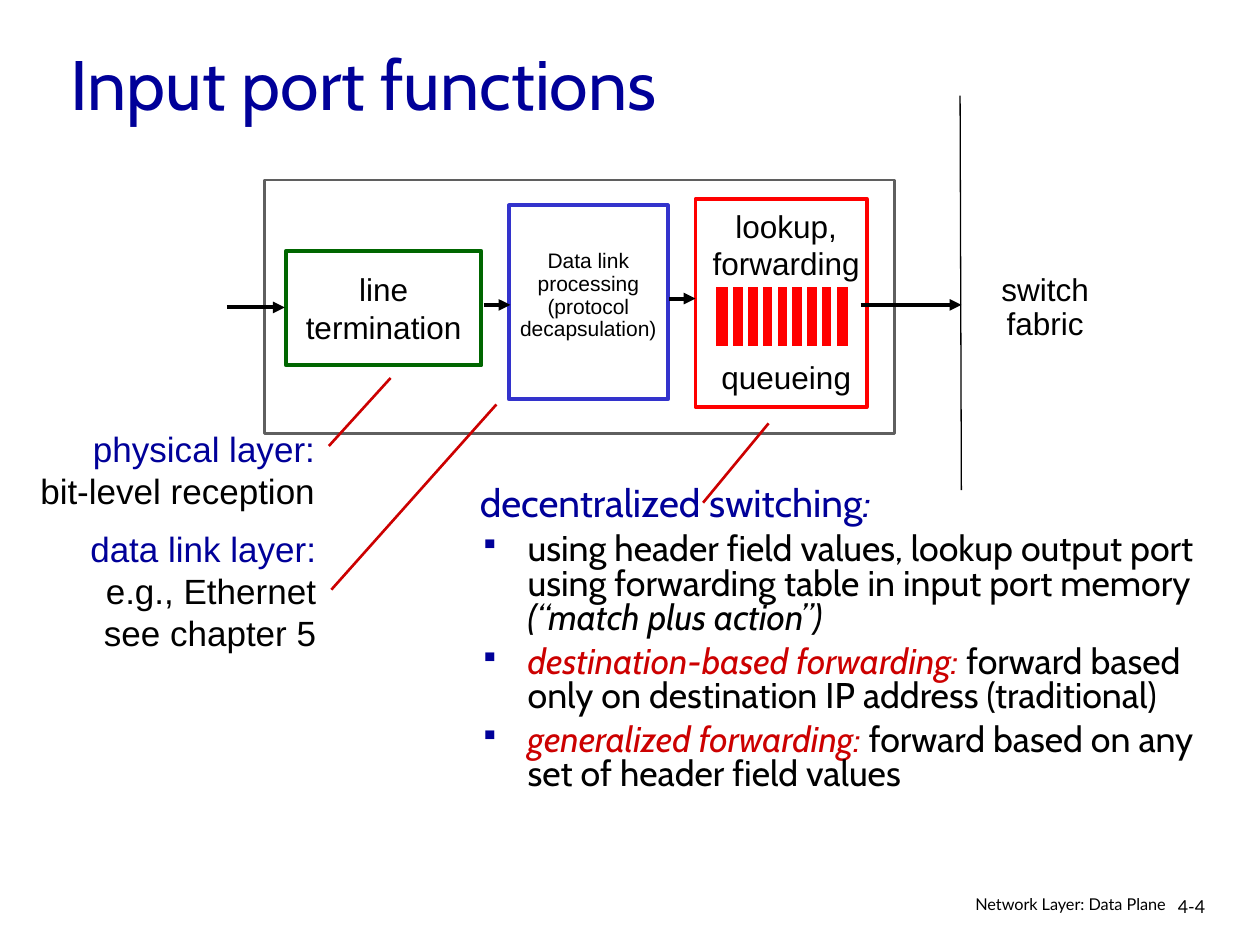
"""Build the slide on input port functions of a router."""
from dataclasses import dataclass
from typing import Optional

from lxml.etree import SubElement
from pptx import Presentation
from pptx.dml.color import RGBColor
from pptx.enum.shapes import MSO_CONNECTOR, MSO_SHAPE
from pptx.enum.text import MSO_ANCHOR, MSO_AUTO_SIZE, PP_ALIGN
from pptx.oxml.ns import qn
from pptx.util import Inches, Pt


@dataclass(frozen=True)
class Theme:
    black: str = "000000"
    white: str = "FFFFFF"
    gray: str = "5F5F5F"
    green: str = "006600"
    blue: str = "3333CC"
    navy: str = "000099"
    red: str = "FF0000"
    crimson: str = "CC0000"
    diagram_font: str = "Arial"
    text_font: str = "Cabin"
    footer_font: str = "Lato"
    title_size: float = 40
    heading_size: float = 22.2
    bullet_size: float = 20.4
    label_size: float = 20
    stage_size: float = 18
    small_size: float = 12
    number_size: float = 10.2
    footer_size: float = 9.3


THEME = Theme()


@dataclass(frozen=True)
class Frame:
    left: float
    top: float
    width: float
    height: float

    def lengths(self) -> tuple:
        return tuple(Inches(v) for v in (self.left, self.top, self.width, self.height))


@dataclass(frozen=True)
class Box:
    frame: Frame
    line: str
    weight: float = 2.25
    fill: str = THEME.white


@dataclass(frozen=True)
class Line:
    start: tuple
    end: tuple
    color: str = THEME.black
    weight: float = 2.25
    arrow: bool = False


@dataclass(frozen=True)
class Label:
    frame: Frame
    lines: tuple
    size: float = THEME.stage_size
    align: PP_ALIGN = PP_ALIGN.CENTER
    spacing: float = 1.0
    font: str = THEME.diagram_font
    anchor: MSO_ANCHOR = MSO_ANCHOR.TOP
    first_color: str = THEME.black
    last_gap: Optional[float] = None


@dataclass(frozen=True)
class Phrase:
    text: str
    color: str = THEME.black
    italic: bool = False


def style_run(run, font: str, size: float, color: str, italic: bool = False) -> None:
    """Apply font, size, colour and slant to a run."""
    run.font.name = font
    run.font.size = Pt(size)
    run.font.italic = italic
    run.font.color.rgb = RGBColor.from_string(color)


def draw_box(shapes, box: Box) -> None:
    """Draw a filled and outlined rectangle."""
    rectangle = shapes.add_shape(MSO_SHAPE.RECTANGLE, *box.frame.lengths())
    rectangle.shadow.inherit = False
    rectangle.fill.solid()
    rectangle.fill.fore_color.rgb = RGBColor.from_string(box.fill)
    rectangle.line.color.rgb = RGBColor.from_string(box.line)
    rectangle.line.width = Pt(box.weight)


def draw_line(shapes, line: Line) -> None:
    """Draw a straight line, with an arrowhead at its end if asked."""
    points = (Inches(v) for v in line.start + line.end)
    connector = shapes.add_connector(MSO_CONNECTOR.STRAIGHT, *points)
    connector.line.color.rgb = RGBColor.from_string(line.color)
    connector.line.width = Pt(line.weight)
    if line.arrow:
        SubElement(connector.line._get_or_add_ln(), qn("a:tailEnd"), type="triangle")
    SubElement(connector._element.spPr, qn("a:effectLst"))


def draw_label(shapes, label: Label) -> None:
    """Draw a text box with one paragraph per line."""
    frame = shapes.add_textbox(*label.frame.lengths()).text_frame
    frame.word_wrap = False
    frame.vertical_anchor = label.anchor
    frame.text = "\n".join(label.lines)
    for index, paragraph in enumerate(frame.paragraphs):
        paragraph.alignment = label.align
        paragraph.line_spacing = label.spacing
        color = THEME.black if index else label.first_color
        style_run(paragraph.runs[0], label.font, label.size, color)
    if label.last_gap:
        frame.paragraphs[-1].space_before = Pt(label.last_gap)


def add_square_bullet(paragraph) -> None:
    """Give a paragraph a small navy square bullet."""
    properties = paragraph._p.get_or_add_pPr()
    color = SubElement(properties, qn("a:buClr"))
    SubElement(color, qn("a:srgbClr"), val=THEME.navy)
    SubElement(properties, qn("a:buSzPct"), val="75000")
    SubElement(properties, qn("a:buChar"), char="▪")


def draw_explanation(shapes, frame: Frame, points: tuple) -> None:
    """Draw a heading followed by bulleted points."""
    text_frame = shapes.add_textbox(*frame.lengths()).text_frame
    text_frame.word_wrap = True
    for index, phrases in enumerate(points):
        paragraph = text_frame.add_paragraph() if index else text_frame.paragraphs[0]
        paragraph.line_spacing = 0.8
        properties = paragraph._p.get_or_add_pPr()
        properties.set("marL", str(Inches(0.38)))
        properties.set("indent", str(Inches(-0.38)))
        if index:
            paragraph.space_before = Pt(5.5)
            add_square_bullet(paragraph)
        size = THEME.bullet_size if index else THEME.heading_size
        for phrase in phrases:
            run = paragraph.add_run()
            run.text = phrase.text
            style_run(run, THEME.text_font, size, phrase.color, phrase.italic)


def draw_queue(shapes) -> None:
    """Draw the packet queue as a bar cut by evenly spaced dividers."""
    queue = shapes.add_group_shape().shapes
    draw_box(queue, Box(Frame(5.66, 2.26, 1.09, 0.51), THEME.white, 3, THEME.red))
    for index in range(8):
        x = 5.8 + index * 0.82 / 7
        draw_line(queue, Line((x, 2.26), (x, 2.76), THEME.white, 3))


def draw_title(title, text: str) -> None:
    """Place and format the slide title."""
    title.left, title.top, title.width, title.height = Frame(0.46, 0.32, 8.5, 0.67).lengths()
    frame = title.text_frame
    frame.text = text
    frame.auto_size = MSO_AUTO_SIZE.NONE
    frame.vertical_anchor = MSO_ANCHOR.MIDDLE
    frame.paragraphs[0].alignment = PP_ALIGN.LEFT
    style_run(frame.paragraphs[0].runs[0], THEME.text_font, THEME.title_size, THEME.navy)


BOXES = (
    Box(Frame(2.1, 1.43, 5, 2.01), THEME.gray, 1.5),
    Box(Frame(2.27, 1.99, 1.55, 0.91), THEME.green),
    Box(Frame(4.04, 1.63, 1.26, 1.54), THEME.blue),
    Box(Frame(5.52, 1.58, 1.36, 1.65), THEME.red),
)
LINES = (
    Line((1.8, 2.44), (2.26, 2.44), arrow=True),
    Line((3.84, 2.42), (4.05, 2.42), arrow=True),
    Line((5.31, 2.37), (5.52, 2.37), arrow=True),
    Line((6.83, 2.42), (7.63, 2.42), arrow=True),
    Line((7.62, 0.76), (7.63, 3.89), weight=0.75),
    Line((2.61, 3.54), (3.1, 3), THEME.crimson, 1.5),
    Line((2.63, 4.68), (3.94, 3.21), THEME.crimson, 1.5),
    Line((5.58, 3.99), (6.1, 3.36), THEME.crimson, 1.5),
)
LABELS = (
    Label(Frame(2.17, 1.99, 1.75, 0.91), ("line", "termination"), anchor=MSO_ANCHOR.MIDDLE),
    Label(Frame(3.97, 1.7, 1.4, 1.3), ("Data link", "processing", "(protocol", "decapsulation)"),
          THEME.small_size, spacing=0.9, anchor=MSO_ANCHOR.MIDDLE),
    Label(Frame(5.44, 1.59, 1.6, 1.6), ("lookup,", "forwarding", "queueing"), last_gap=43.5),
    Label(Frame(7.72, 1.99, 1.15, 0.91), ("switch", "fabric"), spacing=0.9, anchor=MSO_ANCHOR.MIDDLE),
    Label(Frame(0.1, 3.34, 2.5, 0.77), ("physical layer:", "bit-level reception"),
          THEME.label_size, PP_ALIGN.RIGHT, first_color=THEME.navy),
    Label(Frame(0.11, 4.14, 2.5, 1.1), ("data link layer:", "e.g., Ethernet", "see chapter 5"),
          THEME.label_size, PP_ALIGN.RIGHT, first_color=THEME.navy),
    Label(Frame(9.25, 7.08, 0.61, 0.3), ("4-4",), THEME.number_size, PP_ALIGN.LEFT, 0.9, THEME.footer_font),
    Label(Frame(6.97, 7.08, 2.38, 0.26), ("Network Layer: Data Plane",),
          THEME.footer_size, PP_ALIGN.RIGHT, 0.8, THEME.footer_font),
)
EXPLANATION = (
    (Phrase("decentralized switching", THEME.navy), Phrase(":", THEME.navy, True)),
    (Phrase("using header field values, lookup output port using forwarding table in input port memory "),
     Phrase("(“match plus action”)", italic=True)),
    (Phrase("destination-based forwarding: ", THEME.crimson, True),
     Phrase("forward based only on destination IP address (traditional)")),
    (Phrase("generalized forwarding: ", THEME.crimson, True),
     Phrase("forward based on any set of header field values")),
)


def main() -> None:
    """Assemble and save the slide."""
    deck = Presentation()
    deck.slide_width, deck.slide_height = Inches(10), Inches(7.5)
    shapes = deck.slides.add_slide(deck.slide_layouts[5]).shapes
    draw_title(shapes.title, "Input port functions")
    for box in BOXES:
        draw_box(shapes, box)
    for label in LABELS:
        draw_label(shapes, label)
    draw_explanation(shapes, Frame(3.71, 3.82, 5.97, 2.92), EXPLANATION)
    draw_queue(shapes)
    for line in LINES:
        draw_line(shapes, line)
    deck.save("out.pptx")


if __name__ == "__main__":
    main()
